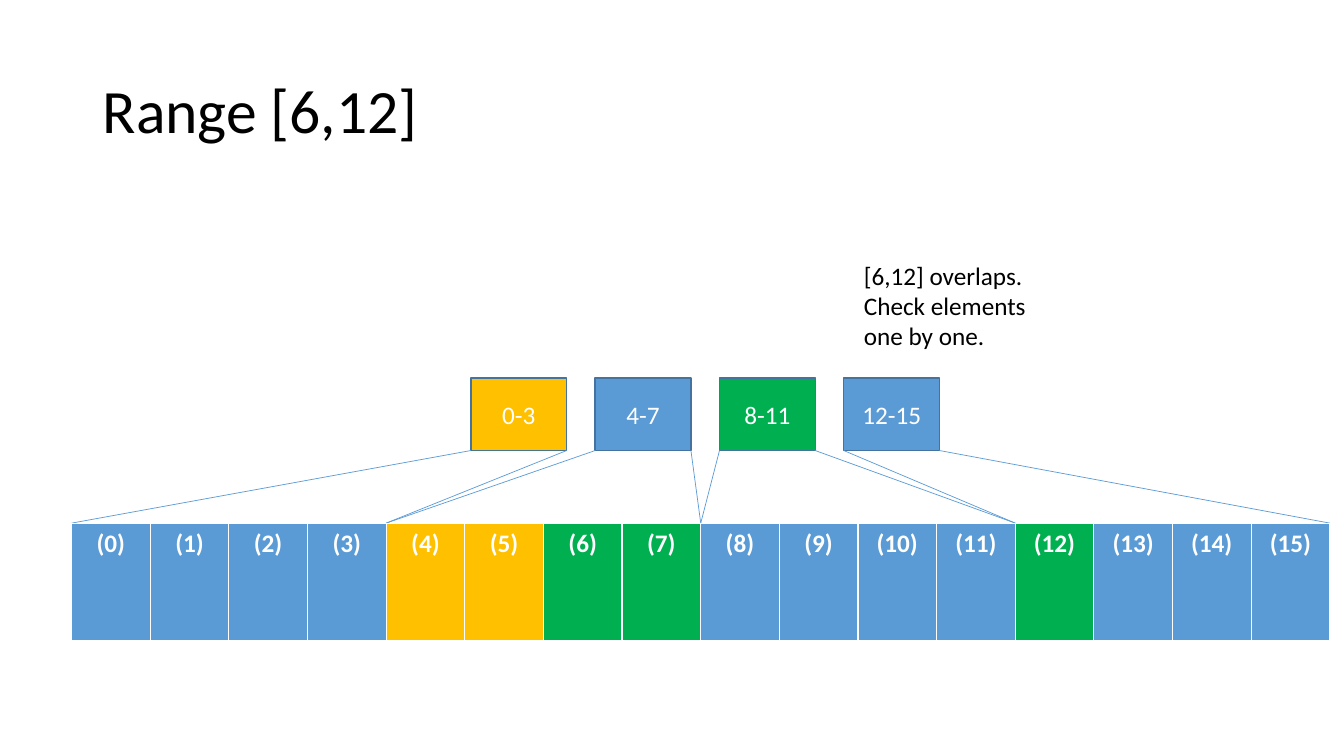
from lxml import etree
from pptx import Presentation
from pptx.dml.color import RGBColor
from pptx.enum import shapes, text
from pptx.oxml import ns
from pptx.util import Inches, Pt

COLORS = {
    "blue": "5B9BD5", "green": "00B050", "gold": "FFC000",
    "outline": "43739E", "white": "FFFFFF", "black": "000000",
}


def rgb(name):
    return RGBColor.from_string(COLORS[name])


def write_text(frame, lines, size=18, color="white", bold=False,
               align=text.PP_ALIGN.CENTER, anchor=None, spacing=None):
    if anchor is not None:
        frame.vertical_anchor = anchor
    for index, line in enumerate(lines):
        paragraph = frame.add_paragraph() if index else frame.paragraphs[0]
        paragraph.alignment = align
        paragraph.line_spacing = spacing
        run = paragraph.add_run()
        run.text = line
        run.font.name = "Calibri"
        run.font.size = Pt(size)
        run.font.bold = bold
        run.font.color.rgb = rgb(color)


presentation = Presentation()
presentation.slide_width = Inches(13.33)
presentation.slide_height = Inches(7.5)
slide = presentation.slides.add_slide(presentation.slide_layouts[6])

title = slide.shapes.add_textbox(Inches(0.92), Inches(0.4), Inches(11.5), Inches(1.45))
title.text_frame.word_wrap = True
write_text(title.text_frame, ["Range [6,12]"], size=44, color="black",
           align=text.PP_ALIGN.LEFT, anchor=text.MSO_ANCHOR.MIDDLE, spacing=0.9)

# Blocks, each fanning out to its four elements in the array
BLOCKS = [("0-3", "gold"), ("4-7", "blue"), ("8-11", "green"), ("12-15", "blue")]
BLOCK_LEFT, BLOCK_TOP, BLOCK_STEP = 4.67, 3.75, 1.233
BLOCK_WIDTH, BLOCK_HEIGHT = 0.95, 0.72
ARRAY_LEFT, ARRAY_TOP, ARRAY_HEIGHT, CELL_WIDTH = 0.71, 5.19, 1.18, 0.78
GROUP_WIDTH = 4 * CELL_WIDTH

for index, (label, color) in enumerate(BLOCKS):
    left = BLOCK_LEFT + index * BLOCK_STEP
    block = slide.shapes.add_shape(shapes.MSO_SHAPE.RECTANGLE, Inches(left), Inches(BLOCK_TOP),
                                   Inches(BLOCK_WIDTH), Inches(BLOCK_HEIGHT))
    block.shadow.inherit = False
    block.fill.solid()
    block.fill.fore_color.rgb = rgb(color)
    block.line.color.rgb = rgb("outline")
    block.line.width = Pt(1)
    write_text(block.text_frame, [label], anchor=text.MSO_ANCHOR.MIDDLE)

    for side in (0, 1):
        ray = slide.shapes.add_connector(
            shapes.MSO_CONNECTOR.STRAIGHT,
            Inches(left + side * BLOCK_WIDTH), Inches(BLOCK_TOP + BLOCK_HEIGHT),
            Inches(ARRAY_LEFT + (index + side) * GROUP_WIDTH), Inches(ARRAY_TOP))
        ray.line.color.rgb = rgb("blue")
        ray.line.width = Pt(0.5)
        etree.SubElement(ray._element.spPr, ns.qn("a:effectLst"))

note = slide.shapes.add_textbox(Inches(8.47), Inches(2.53), Inches(1.83), Inches(1.01))
note.text_frame.word_wrap = False
note.text_frame.auto_size = text.MSO_AUTO_SIZE.SHAPE_TO_FIT_TEXT
write_text(note.text_frame, ["[6,12] overlaps.", "Check elements", "one by one."],
           color="black", align=text.PP_ALIGN.LEFT)

# Array of sixteen elements
CELL_COLORS = {4: "gold", 5: "gold", 6: "green", 7: "green", 12: "green"}
BORDERS = [("a:lnL", 1), ("a:lnR", 1), ("a:lnT", 1), ("a:lnB", 3)]
array = slide.shapes.add_table(1, 16, Inches(ARRAY_LEFT), Inches(ARRAY_TOP),
                               Inches(16 * CELL_WIDTH), Inches(ARRAY_HEIGHT)).table
for index, column in enumerate(array.columns):
    column.width = Inches(CELL_WIDTH)
    cell = array.cell(0, index)
    write_text(cell.text_frame, [f"({index})"], bold=True)
    properties = cell._tc.get_or_add_tcPr()
    for tag, width in BORDERS:
        border = etree.SubElement(properties, ns.qn(tag), w=str(Pt(width)))
        fill = etree.SubElement(border, ns.qn("a:solidFill"))
        etree.SubElement(fill, ns.qn("a:srgbClr"), val=COLORS["white"])
    cell.fill.solid()
    cell.fill.fore_color.rgb = rgb(CELL_COLORS.get(index, "blue"))

presentation.save("out.pptx")
